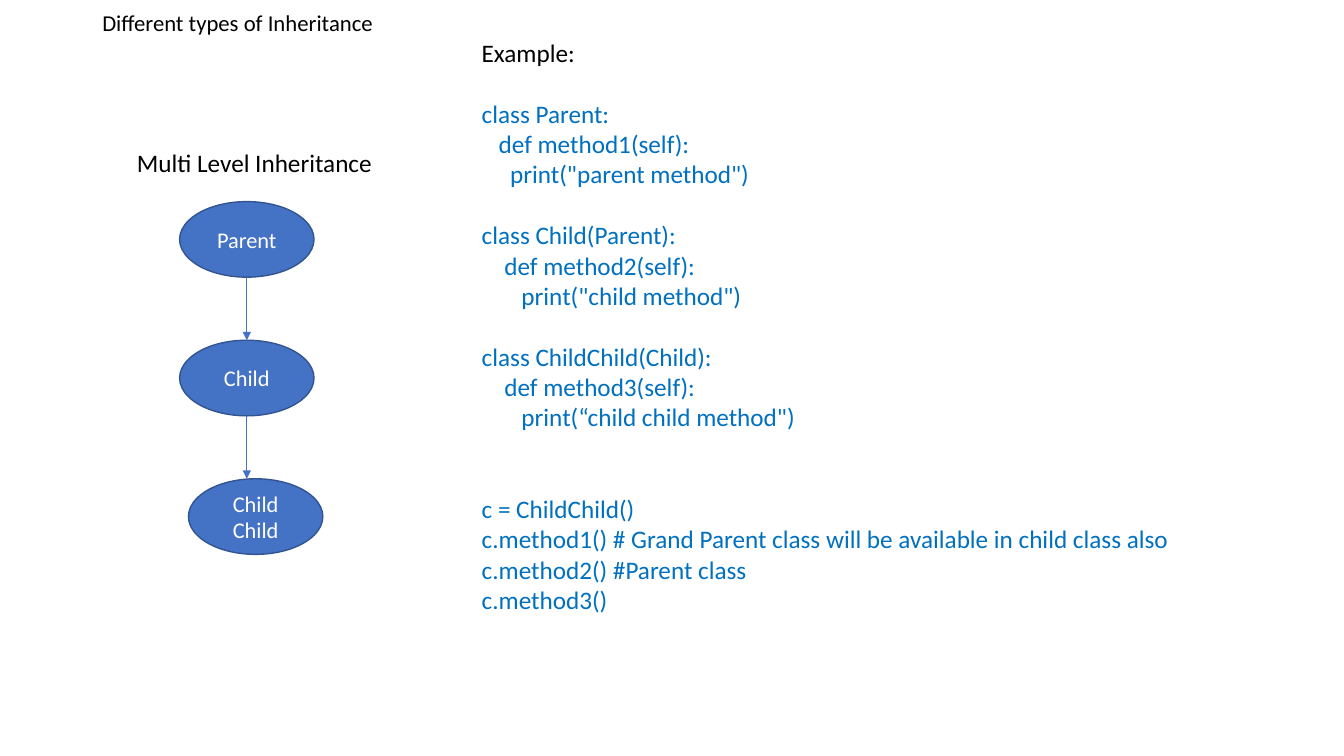
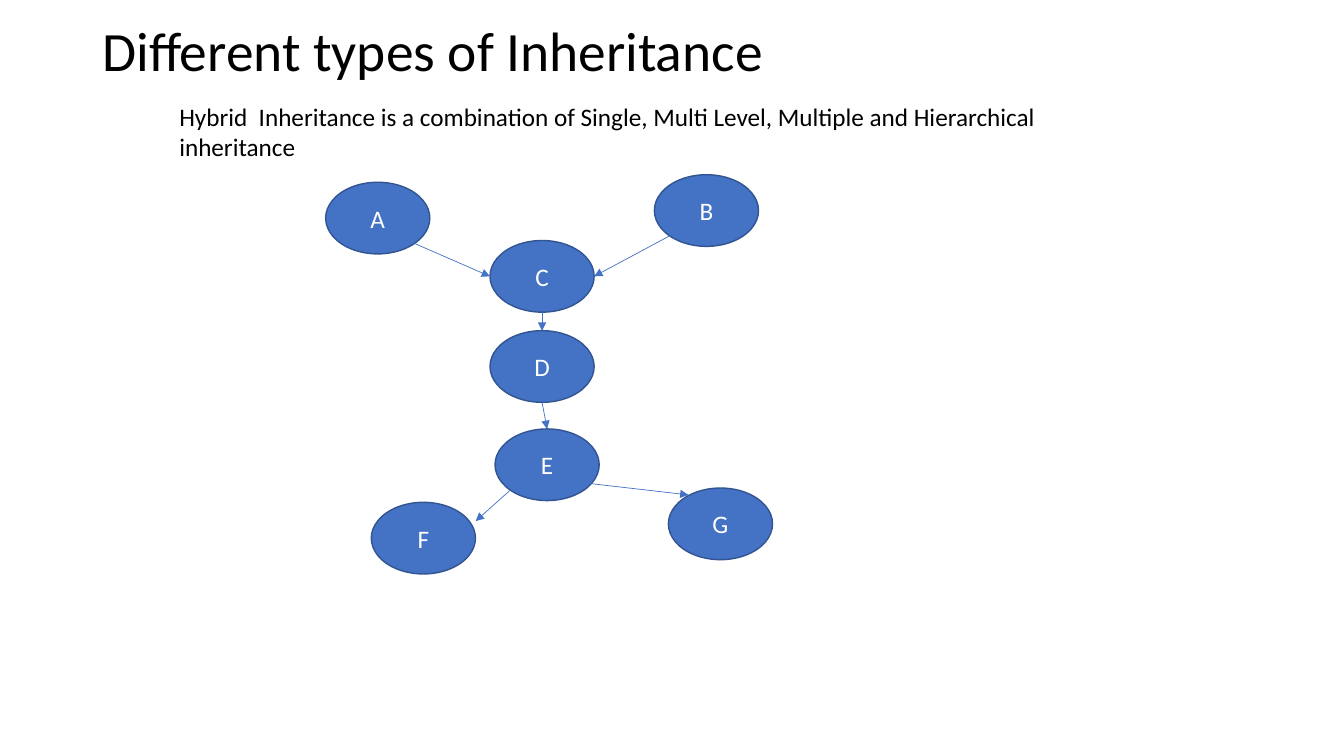
from dataclasses import dataclass
from typing import Any, Optional

from lxml import etree
from pptx import Presentation
from pptx.dml.color import RGBColor
from pptx.enum import shapes, text
from pptx.oxml import ns
from pptx.util import Pt

FONT = "Calibri"
BLACK = RGBColor(0x00, 0x00, 0x00)
WHITE = RGBColor(0xFF, 0xFF, 0xFF)
NODE_FILL = RGBColor(0x44, 0x72, 0xC4)
NODE_LINE = RGBColor(0x32, 0x54, 0x91)
CODE_BLUE = RGBColor(0x00, 0x70, 0xC0)

TITLE = "Different types of Inheritance"
BODY_SIZE = 18
CODE_LINE_HEIGHT = 22
DIAGONAL = 0.5 ** 0.5

Point = tuple[float, float]


@dataclass(frozen=True)
class Line:
    text: str
    color: RGBColor = BLACK
    space_before: float = 0


@dataclass(frozen=True)
class Node:
    label: str
    left: float
    top: float
    width: float = 74.4
    height: float = 51.2
    size: float = BODY_SIZE

    def at(self, across: float, down: float) -> Point:
        """Point offset from the centre, in half widths and half heights."""
        return (self.left + self.width * (1 + across) / 2,
                self.top + self.height * (1 + down) / 2)


@dataclass(frozen=True)
class Arrow:
    start: Point
    end: Point
    joins: Optional[str] = None  # label of the node whose top it meets


@dataclass(frozen=True)
class CodeBlock:
    blank_lines_before: int
    lines: tuple[str, ...]


CODE = (
    CodeBlock(1, ("class Parent:",
                  "   def method1(self):",
                  '     print("parent method")')),
    CodeBlock(1, ("class Child(Parent):",
                  "    def method2(self):",
                  '       print("child method")')),
    CodeBlock(1, ("class ChildChild(Child):",
                  "    def method3(self):",
                  '       print(“child child method")')),
    CodeBlock(2, ("c = ChildChild()",
                  "c.method1() # Grand Parent class will be available in child class also",
                  "c.method2() #Parent class",
                  "c.method3()")),
)


def write_text(shape: Any, lines: list[Line], *, size: float,
               align: text.PP_ALIGN = text.PP_ALIGN.LEFT,
               anchor: text.MSO_ANCHOR = text.MSO_ANCHOR.TOP,
               line_spacing: float = 1.0) -> None:
    frame = shape.text_frame
    frame.word_wrap = True
    frame.auto_size = text.MSO_AUTO_SIZE.NONE
    frame.vertical_anchor = anchor
    for index, line in enumerate(lines):
        paragraph = frame.add_paragraph() if index else frame.paragraphs[0]
        paragraph.alignment = align
        paragraph.line_spacing = line_spacing
        paragraph.space_before = Pt(line.space_before)
        run = paragraph.add_run()
        run.text = line.text
        run.font.name = FONT
        run.font.size = Pt(size)
        run.font.color.rgb = line.color


def add_text(slide: Any, lines: list[Line], left: float, top: float,
             width: float, height: float, **text_format: Any) -> None:
    box = slide.shapes.add_textbox(Pt(left), Pt(top), Pt(width), Pt(height))
    write_text(box, lines, **text_format)


def add_title(slide: Any, top: float, height: float, size: float) -> None:
    add_text(slide, [Line(TITLE)], 66, top, 828, height, size=size,
             anchor=text.MSO_ANCHOR.MIDDLE, line_spacing=0.9)


def add_node(slide: Any, node: Node) -> Any:
    ellipse = slide.shapes.add_shape(
        shapes.MSO_SHAPE.OVAL, Pt(node.left), Pt(node.top),
        Pt(node.width), Pt(node.height))
    ellipse.shadow.inherit = False
    ellipse.fill.solid()
    ellipse.fill.fore_color.rgb = NODE_FILL
    ellipse.line.color.rgb = NODE_LINE
    ellipse.line.width = Pt(1)
    write_text(ellipse, [Line(node.label, WHITE)], size=node.size,
               align=text.PP_ALIGN.CENTER, anchor=text.MSO_ANCHOR.MIDDLE)
    return ellipse


def add_arrow(slide: Any, arrow: Arrow, ellipses: dict[str, Any]) -> None:
    connector = slide.shapes.add_connector(
        shapes.MSO_CONNECTOR.STRAIGHT,
        *(Pt(length) for length in arrow.start + arrow.end))
    if arrow.joins:
        connector.end_connect(ellipses[arrow.joins], 0)
    connector.line.color.rgb = NODE_FILL
    connector.line.width = Pt(0.5)
    line = connector.line._get_or_add_ln()
    etree.SubElement(line, ns.qn("a:tailEnd"), type="triangle")
    etree.SubElement(connector._element.spPr, ns.qn("a:effectLst"))


def add_diagram(slide: Any, nodes: list[Node], arrows: list[Arrow]) -> None:
    ellipses = {node.label: add_node(slide, node) for node in nodes}
    for arrow in arrows:
        add_arrow(slide, arrow, ellipses)


def add_multi_level_slide(slide: Any) -> None:
    add_title(slide, top=11, height=12, size=16.2)
    add_text(slide, [Line("Multi Level Inheritance")], 90.7, 101.5, 257, 29,
             size=BODY_SIZE)

    example = [Line("Example:")]
    for block in CODE:
        for index, code in enumerate(block.lines):
            gap = 0 if index else block.blank_lines_before * CODE_LINE_HEIGHT
            example.append(Line(code, CODE_BLUE, gap))
    add_text(slide, example, 337, 23, 557, 422, size=BODY_SIZE)

    parent, child, grandchild = (
        Node(label, left, 144 + 99 * level, 96, 54, 16)
        for level, (label, left) in enumerate(
            [("Parent", 128.3), ("Child", 128.3), ("Child Child", 134.6)]))
    child_bottom = child.at(0, 1)
    add_diagram(slide, [parent, child, grandchild], [
        Arrow(parent.at(0, 1), child.at(0, -1), "Child"),
        Arrow(child_bottom, (child_bottom[0], grandchild.top)),
    ])


def add_hybrid_slide(slide: Any) -> None:
    add_title(slide, top=18.7, height=39, size=39.6)
    add_text(slide, [Line("Hybrid  Inheritance is a combination of Single, Multi Level, "
                          "Multiple and Hierarchical inheritance")],
             121, 68.5, 631.5, 51, size=BODY_SIZE)

    nodes = [Node("A", 232.6, 130.2), Node("B", 467.4, 124.8),
             Node("C", 350, 171.8), Node("D", 350, 236.2),
             Node("E", 353.6, 306.4), Node("F", 265.2, 358.8),
             Node("G", 477.4, 348.6)]
    a, b, c, d, e, _, _ = nodes
    add_diagram(slide, nodes, [
        Arrow(a.at(DIAGONAL, DIAGONAL), c.at(-1, 0)),
        Arrow(b.at(-DIAGONAL, DIAGONAL), c.at(1, 0)),
        Arrow(c.at(0, 1), d.at(0, -1), "D"),
        Arrow(d.at(0, 1), e.at(0, -1), "E"),
        Arrow(e.at(-DIAGONAL, DIAGONAL), (339.8, 372.2)),
        Arrow((411, 344.2), (491.8, 353.5)),
    ])


def main() -> None:
    presentation = Presentation()
    presentation.slide_width = Pt(960)
    presentation.slide_height = Pt(540)
    blank = presentation.slide_layouts[6]
    for build in (add_multi_level_slide, add_hybrid_slide):
        build(presentation.slides.add_slide(blank))
    presentation.save("out.pptx")


if __name__ == "__main__":
    main()
